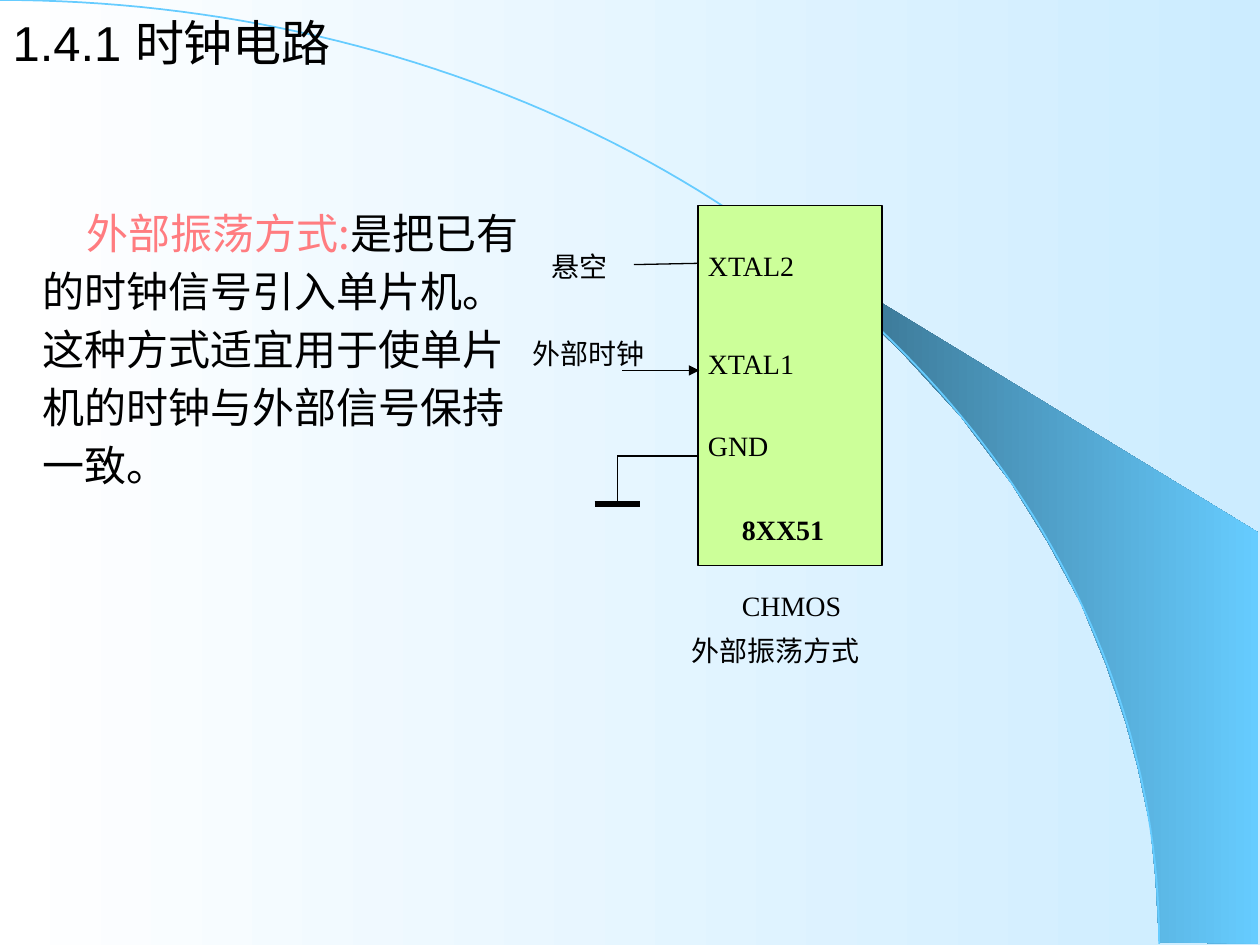
from math import cos, pi, sin

from lxml.etree import SubElement
from pptx import Presentation
from pptx.dml.color import RGBColor
from pptx.enum.shapes import MSO_CONNECTOR, MSO_SHAPE
from pptx.enum.text import MSO_ANCHOR, MSO_AUTO_SIZE, PP_ALIGN
from pptx.oxml.ns import qn
from pptx.util import Inches, Pt

BLACK = RGBColor(0x00, 0x00, 0x00)
WHITE = RGBColor(0xFF, 0xFF, 0xFF)
PALE_BLUE = RGBColor(0xCC, 0xEC, 0xFF)
SKY = RGBColor(0x66, 0xCC, 0xFF)
DEEP_BLUE = RGBColor(0x2F, 0x5E, 0x76)
CORAL = RGBColor(0xFF, 0x7C, 0x80)
GREEN = RGBColor(0xCC, 0xFF, 0x99)
SERIF, SANS, CHINESE = "Times New Roman", "Arial", "Noto Sans CJK SC"

TITLE = [("1.4.1 ", SANS, BLACK), ("时钟电路", CHINESE, BLACK)]
BODY = [
    ("外部振荡方式:", CHINESE, CORAL),
    ("是把已有的时钟信号引入单片机。这种方式适宜用于使单片机的时钟与外部信号保持一致。", CHINESE, BLACK),
]

# text, left, top, width, format
LABELS = [
    ("外部时钟", 4.13, 2.62, 1.18, {}),
    ("悬空", 4.28, 1.93, 1.1, {}),
    ("XTAL2", 5.52, 1.92, 1.28, {}),
    ("XTAL1", 5.52, 2.7, 1.1, {}),
    ("GND", 5.52, 3.35, 0.92, {}),
    ("8XX51", 5.79, 4.02, 1.57, {"bold": True}),
    ("CHMOS", 5.79, 4.62, 1.74, {}),
    ("外部振荡方式", 5.39, 4.93, 1.89, {"font": CHINESE, "spacing": 1.2}),
]

# start, end, width in points, arrowhead at the end
WIRES = [
    ((4.94, 2.94), (5.55, 2.94), 0.75, True),
    ((5.03, 2.1), (5.54, 2.09), 0.75, False),
    ((4.9, 3.62), (5.54, 3.62), 0.75, False),
    ((4.9, 3.62), (4.9, 4), 0.75, False),
    ((4.72, 4), (5.08, 4), 3, False),
]

WEDGE = [
    (9.2, 7.48), (9.99, 7.49), (9.99, 4.23), (5.89, 1.73), (6.24, 1.99),
    (6.53, 2.22), (6.85, 2.5), (7.16, 2.8), (7.62, 3.3), (8.03, 3.84),
    (8.32, 4.31), (8.58, 4.79), (8.78, 5.28), (8.93, 5.72), (9.03, 6.09),
    (9.13, 6.56), (9.17, 6.96),
]
ARC_WIDTH, ARC_HEIGHT, ARC_STEPS = 9.2, 7.49, 90


def set_gradient(fill, first, last):
    """Fill from left to right."""
    fill.gradient()
    fill.gradient_angle = 0
    for stop, color, position in zip(fill.gradient_stops, (first, last), (0, 1)):
        stop.color.rgb = color
        stop.position = position


def add_outline(shapes, points, close):
    corners = [(Inches(x), Inches(y)) for x, y in points]
    builder = shapes.build_freeform(*corners[0])
    builder.add_line_segments(corners[1:], close=close)
    shape = builder.convert_to_shape()
    shape.shadow.inherit = False
    return shape


def add_span(para, text, font=SERIF, size=16, color=BLACK, bold=False):
    span = para.add_run()
    span.text = text
    span.font.name = font
    span.font.size = Pt(size)
    span.font.bold = bold
    span.font.color.rgb = color
    SubElement(span.font._element, qn("a:ea")).set("typeface", CHINESE)


def add_text(shapes, spans, left, top, width, height=0.37, spacing=1.0, indent=0, **style):
    """Add a wrapped box; spans is a string or a list of (text, font, colour)."""
    box = shapes.add_textbox(Inches(left), Inches(top), Inches(width), Inches(height))
    frame = box.text_frame
    frame.word_wrap = True
    frame.auto_size = MSO_AUTO_SIZE.SHAPE_TO_FIT_TEXT
    para = frame.paragraphs[0]
    para.line_spacing = spacing
    properties = para._p.get_or_add_pPr()
    properties.set("hangingPunct", "0")
    properties.set("indent", str(Inches(indent)))
    if isinstance(spans, str):
        add_span(para, spans, **style)
    else:
        for text, font, color in spans:
            add_span(para, text, font=font, color=color, **style)


def add_wire(shapes, start, end, width, arrow):
    wire = shapes.add_connector(
        MSO_CONNECTOR.STRAIGHT, *(Inches(value) for value in start + end))
    wire.line.color.rgb = BLACK
    wire.line.width = Pt(width)
    if arrow:
        SubElement(wire.line._get_or_add_ln(), qn("a:tailEnd")).set("type", "triangle")
    SubElement(wire._element.spPr, qn("a:effectLst"))


def add_backdrop(page):
    set_gradient(page.background.fill, WHITE, PALE_BLUE)
    wedge = add_outline(page.shapes, WEDGE, close=True)
    set_gradient(wedge.fill, DEEP_BLUE, SKY)
    wedge.line.fill.background()
    angles = [pi / 2 * step / ARC_STEPS for step in range(ARC_STEPS + 1)]
    points = [(ARC_WIDTH * sin(a), ARC_HEIGHT * (1 - cos(a))) for a in angles]
    arc = add_outline(page.shapes, points, close=False)
    arc.fill.background()
    arc.line.color.rgb = SKY
    arc.line.width = Pt(1)


def add_circuit(shapes):
    chip = shapes.add_shape(
        MSO_SHAPE.RECTANGLE, Inches(5.54), Inches(1.63), Inches(1.46), Inches(2.86))
    chip.shadow.inherit = False
    chip.fill.solid()
    chip.fill.fore_color.rgb = GREEN
    chip.line.color.rgb = BLACK
    chip.line.width = Pt(0.75)
    for text, left, top, width, style in LABELS:
        add_text(shapes, text, left, top, width, **style)
    for wire in WIRES:
        add_wire(shapes, *wire)


def set_title(page):
    title = page.shapes.title
    title.left, title.top, title.width, title.height = (
        Inches(value) for value in (0, 0, 4.76, 0.67))
    frame = title.text_frame
    frame.vertical_anchor = MSO_ANCHOR.MIDDLE
    frame.auto_size = MSO_AUTO_SIZE.NONE
    para = frame.paragraphs[0]
    para.alignment = PP_ALIGN.LEFT
    for text, font, color in TITLE:
        add_span(para, text, font=font, size=28, color=color)
    page.shapes._spTree.append(title._element)  # in front of the arc


def main():
    deck = Presentation()
    deck.slide_width, deck.slide_height = Inches(10), Inches(7.5)
    page = deck.slides.add_slide(deck.slide_layouts[5])
    add_backdrop(page)
    add_text(page.shapes, BODY, 0.24, 1.54, 4.05, 2.41, spacing=1.15, indent=0.35, size=24)
    add_circuit(page.shapes)
    set_title(page)
    deck.save("out.pptx")


if __name__ == "__main__":
    main()
